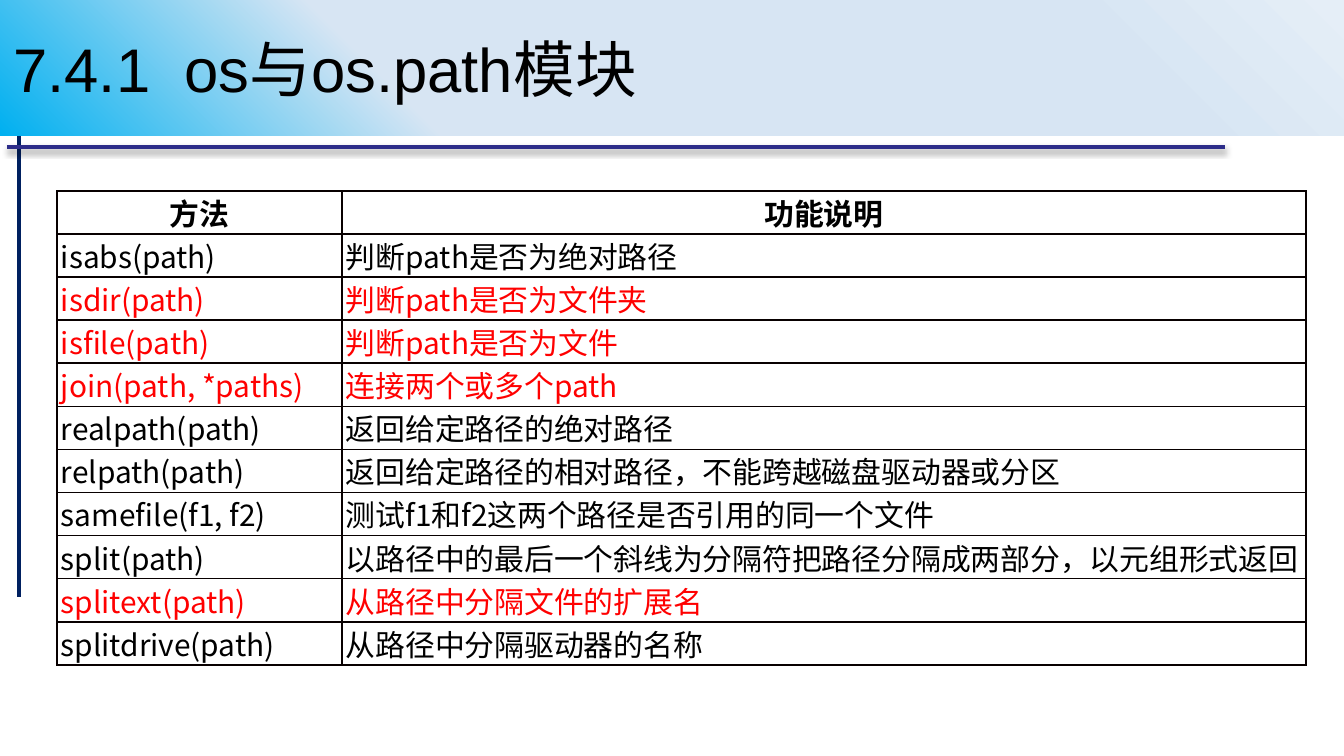
from pptx import Presentation
from pptx.dml.color import RGBColor
from pptx.enum import shapes, text
from pptx.oxml import parse_xml
from pptx.oxml.ns import nsdecls
from pptx.util import Emu, Pt

SCALE = 914400 / 134.4
NS = nsdecls("a")
BLACK, RED, EDGE = "000000", "FF0000", "080000"
ROWS = [
    ("方法", "功能说明", BLACK),
    ("isabs(path)", "判断path是否为绝对路径", BLACK),
    ("isdir(path)", "判断path是否为文件夹", RED),
    ("isfile(path)", "判断path是否为文件", RED),
    ("join(path, *paths)", "连接两个或多个path", RED),
    ("realpath(path)", "返回给定路径的绝对路径", BLACK),
    ("relpath(path)", "返回给定路径的相对路径，不能跨越磁盘驱动器或分区", BLACK),
    ("samefile(f1, f2)", "测试f1和f2这两个路径是否引用的同一个文件", BLACK),
    ("split(path)", "以路径中的最后一个斜线为分隔符把路径分隔成两部分，以元组形式返回", BLACK),
    ("splitext(path)", "从路径中分隔文件的扩展名", RED),
    ("splitdrive(path)", "从路径中分隔驱动器的名称", BLACK),
]


def px(n):
    return Emu(round(n * SCALE))


def rgb(code):
    return RGBColor.from_string(code)


class Deck:
    """Holds the style and the current slide."""

    def __init__(self, wide, high):
        self.prs = Presentation()
        self.prs.slide_width, self.prs.slide_height = px(wide), px(high)
        self.slide = self.prs.slides.add_slide(self.prs.slide_layouts[5])
        self.font, self.head = "Noto Sans CJK SC", "Arial"

    def style(self, para, size, face, color, bold=False):
        for run in para.runs:
            font = run.font
            font.size, font.name, font.bold = Pt(size), face, bold
            font.color.rgb = rgb(color)
            if face == self.font:
                font._element.find("{*}latin").addnext(
                    parse_xml(f'<a:ea {NS} typeface="{face}"/>'))

    def title(self, words, wide, high, stops):
        box = self.slide.shapes.title
        box.left, box.top, box.width, box.height = px(0), px(0), px(wide), px(high)
        marks = "".join(f'<a:gs pos="{pos}000"><a:srgbClr val="{code}"/></a:gs>'
                        for pos, code in stops)
        box._element.spPr.append(parse_xml(
            f'<a:gradFill {NS}><a:gsLst>{marks}</a:gsLst><a:path path="circle">'
            '<a:fillToRect t="100000" r="100000"/></a:path></a:gradFill>'))
        frame = box.text_frame
        frame.text = words
        frame.auto_size = text.MSO_AUTO_SIZE.NONE
        frame.vertical_anchor = text.MSO_ANCHOR.MIDDLE
        para = frame.paragraphs[0]
        para.alignment = text.PP_ALIGN.LEFT
        self.style(para, 33, self.head, BLACK)
        self.slide.shapes._spTree.append(box._element)

    def line(self, x1, y1, x2, y2, color, shade=""):
        rule = self.slide.shapes.add_connector(
            shapes.MSO_CONNECTOR.STRAIGHT, px(x1), px(y1), px(x2), px(y2))
        rule.line.color.rgb, rule.line.width = rgb(color), Pt(2.25)
        rule._element.spPr.append(parse_xml(f"<a:effectLst {NS}>{shade}</a:effectLst>"))

    def cell(self, cell, words, color, top):
        cell.fill.background()
        cell.margin_left = px(0 if top else 4)
        cell.margin_right = cell.margin_top = cell.margin_bottom = 0
        cell.text_frame.text = words
        para = cell.text_frame.paragraphs[0]
        para.alignment = text.PP_ALIGN.CENTER if top else text.PP_ALIGN.LEFT
        self.style(para, 16, self.font, color, top)
        props = cell._tc.get_or_add_tcPr()
        for i, side in enumerate("LRTB"):
            props.insert(i, parse_xml(
                f'<a:ln{side} {NS} w="{Pt(1)}"><a:solidFill>'
                f'<a:srgbClr val="{EDGE}"/></a:solidFill></a:ln{side}>'))

    def table(self, x, y, cols, high, rows):
        grid = self.slide.shapes.add_table(
            len(rows), len(cols), px(x), px(y), px(sum(cols)), px(high * len(rows))).table
        grid.horz_banding = grid.first_row = False
        for col, wide in zip(grid.columns, cols):
            col.width = px(wide)
        for r, (*words, color) in enumerate(rows):
            for c, word in enumerate(words):
                self.cell(grid.cell(r, c), word, color, r == 0)


def main():
    deck = Deck(1344, 756)
    deck.line(19, 109, 19, 597, "002060")
    deck.line(7, 147, 1225, 147, "2D2D89",
              f'<a:outerShdw blurRad="{Pt(3.1)}" dist="{Pt(1.8)}" dir="5400000">'
              '<a:srgbClr val="000000"><a:alpha val="35000"/></a:srgbClr></a:outerShdw>')
    deck.table(57, 191, (285, 964), 43, ROWS)
    deck.title("7.4.1  os与os.path模块", 1344, 136,
               [(0, "00B0F0"), (30, "D7E5F3"), (81, "D7E5F3"), (100, "E5EEF7")])
    deck.prs.save("out.pptx")


if __name__ == "__main__":
    main()
